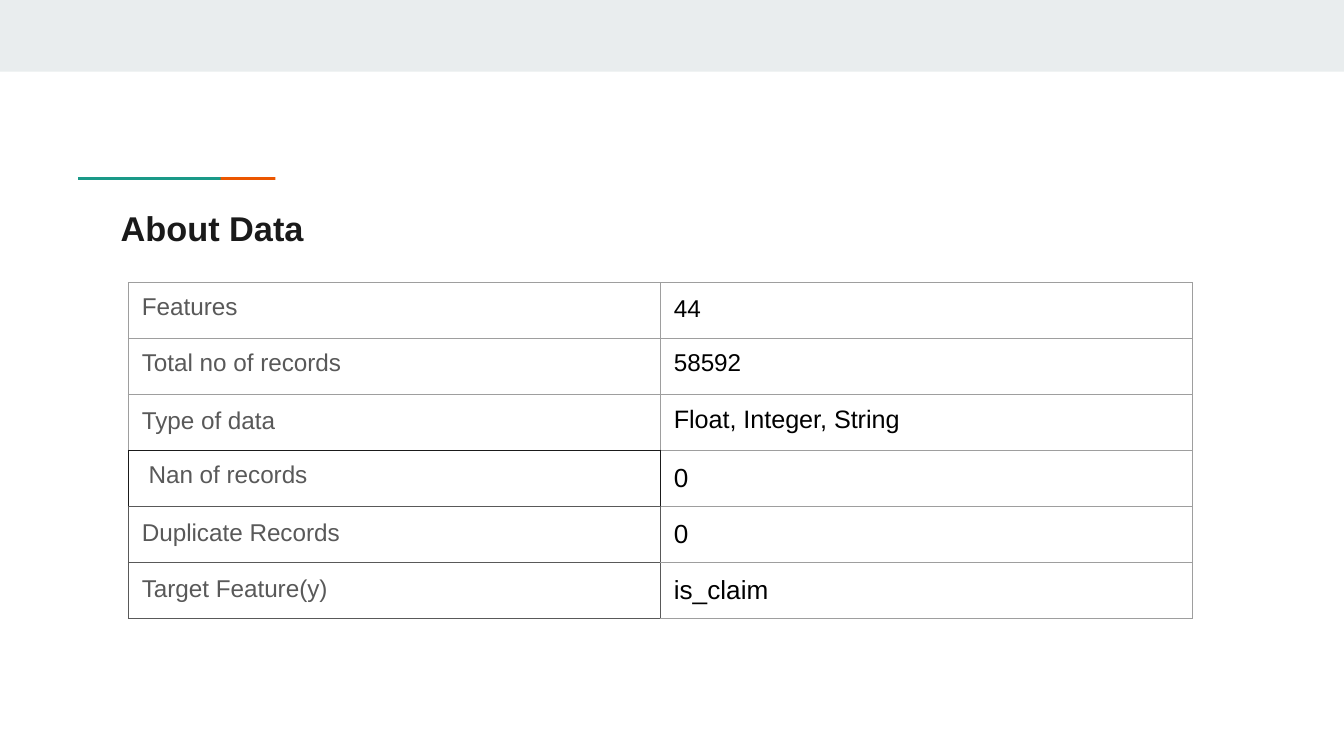
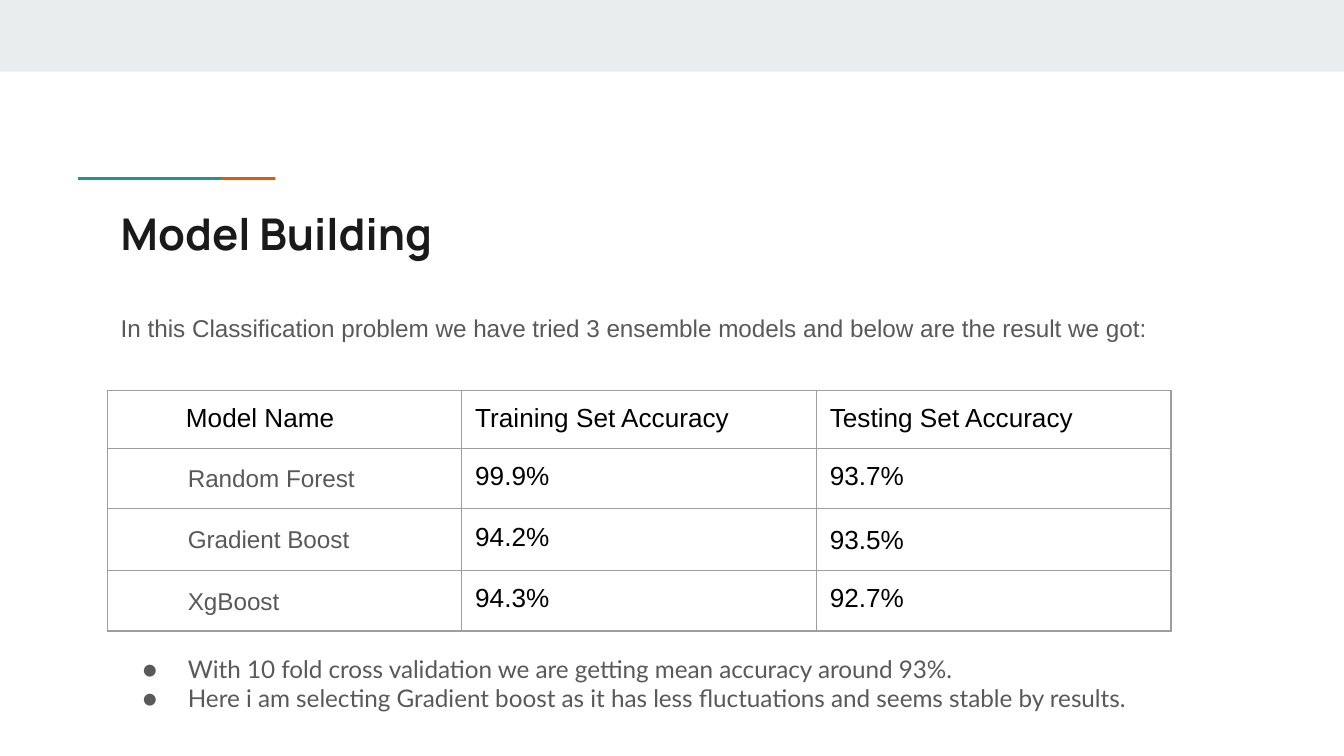
from lxml import etree
from pptx import Presentation
from pptx.dml.color import RGBColor
from pptx.enum import shapes
from pptx.oxml import ns
from pptx.util import Pt

WHITE, BAND, TEAL, ORANGE = "FFFFFF", "E9EDEE", "1A9988", "EB5600"
INK, BODY, BLACK, GREY = "1A1A1A", "595959", "000000", "9E9E9E"
LEFT, PAD = 57.6, 7.2
WIDE, HIGH = 720, 405


def color(code):
    return RGBColor.from_string(code)


def add_bar(slide, x, y, w, h, fill, turn=0):
    bar = slide.shapes.add_shape(shapes.MSO_SHAPE.RECTANGLE, Pt(x), Pt(y), Pt(w), Pt(h))
    bar.rotation = turn
    bar.shadow.inherit = False
    bar.fill.solid()
    bar.fill.fore_color.rgb = color(fill)
    bar.line.fill.background()


def add_dash(slide, mid, fill):
    thick, long = 1.5, 76.4
    add_bar(slide, mid - thick / 2, 95.6 - long / 2, thick, long, fill, 270)


def style(par, size, ink, font="Arial", bold=False, line=None, after=0, indent=0, hang=0):
    if line:
        par.line_spacing = line
    par.space_after = Pt(after)
    props = par._p.get_or_add_pPr()
    props.set("marL", str(Pt(indent)))
    props.set("indent", str(Pt(hang)))
    for run in par.runs:
        run.font.name = font
        run.font.size = Pt(size)
        run.font.bold = bold
        run.font.color.rgb = color(ink)


def add_bullet(par):
    props = par._p.get_or_add_pPr()
    tint = etree.SubElement(props, ns.qn("a:buClr"))
    etree.SubElement(tint, ns.qn("a:srgbClr"), val=BODY)
    etree.SubElement(props, ns.qn("a:buFont"), typeface="Lato")
    etree.SubElement(props, ns.qn("a:buChar"), char="●")


def set_pads(box, foot=PAD):
    box.margin_left = box.margin_right = box.margin_top = Pt(PAD)
    box.margin_bottom = Pt(foot)


def add_text(slide, x, y, w, h, lines, bullet=False, **look):
    frame = slide.shapes.add_textbox(Pt(x), Pt(y), Pt(w), Pt(h)).text_frame
    frame.word_wrap = True
    set_pads(frame)
    frame.text = "\n".join(lines)
    for par in frame.paragraphs:
        if bullet:
            add_bullet(par)
        style(par, **look)


def set_edges(cell, edges):
    props = cell._tc.get_or_add_tcPr()
    for side in "LRTB":
        line = etree.SubElement(props, ns.qn("a:ln" + side), w=str(Pt(0.75)))
        fill = etree.SubElement(line, ns.qn("a:solidFill"))
        etree.SubElement(fill, ns.qn("a:srgbClr"), val=edges.get(side, GREY))


def add_grid(slide, x, y, width, height, rows, edges, foot=PAD):
    count = len(rows[0])
    frame = slide.shapes.add_table(len(rows), count, Pt(x), Pt(y),
                                   Pt(width * count), Pt(height * len(rows)))
    grid = frame.table
    grid.first_row = grid.horz_banding = False
    for col in grid.columns:
        col.width = Pt(width)
    for r, row in enumerate(rows):
        grid.rows[r].height = Pt(height)
        for c, (words, look) in enumerate(row):
            cell = grid.cell(r, c)
            set_pads(cell, foot)
            cell.text = words
            style(cell.text_frame.paragraphs[0], **look)
            set_edges(cell, edges.get((r, c), {}))
            cell.fill.background()


def add_page(deck, title, size, font):
    slide = deck.slides.add_slide(deck.slide_layouts[6])
    slide.background.fill.solid()
    slide.background.fill.fore_color.rgb = color(WHITE)
    add_bar(slide, 0, 0, WIDE, 38.4, BAND)
    add_dash(slide, 109.4, ORANGE)
    add_dash(slide, 80, TEAL)
    add_text(slide, LEFT, 103.7, 605.5, 42.5, [title],
             size=size, font=font, ink=INK, bold=True)
    return slide


def data_page(deck):
    slide = add_page(deck, "About Data", 18.4, "Arial")
    label = dict(size=13, ink=BODY)
    value = dict(size=14, ink=BLACK)
    small = dict(size=13, ink=BLACK)
    tight = dict(line=0.9)
    rows = [
        [("Features", label | tight), ("44", small)],
        [("Total no of records", label | tight), ("58592", small | tight)],
        [("Type of data", label),
         ("Float, Integer, String", dict(size=13.5, ink=BLACK) | tight)],
        [("Nan of records", label | tight | dict(indent=3.6)), ("0", value)],
        [("Duplicate Records", label), ("0", value)],
        [("Target Feature(y)", label), ("is_claim", value)],
    ]
    edges = {
        (2, 0): dict(B=INK),
        (3, 0): dict(L=INK, T=INK, R=INK, B=BODY),
        (3, 1): dict(L=INK),
    }
    for r in (4, 5):
        edges[r, 0] = dict.fromkeys("LRTB", BODY)
        edges[r, 1] = dict(L=BODY)
    add_grid(slide, 68.8, 151.4, 285, 30, rows, edges, foot=5)


def model_page(deck):
    slide = add_page(deck, "Model Building", 23.4, "Manrope")
    add_text(slide, LEFT, 158.4, 660, 30.2,
             ["In this Classification problem we have tried 3 ensemble models "
              "and below are the result we got:"],
             size=13, ink=BODY, line=1.15, after=12)
    value = dict(size=14, ink=BLACK)
    name = dict(size=13, ink=BODY, line=1.15, after=12, indent=36)
    scores = [
        ("Random Forest", "99.9%", "93.7%"),
        ("Gradient Boost", "94.2%", "93.5%"),
        ("XgBoost", "94.3%", "92.7%"),
    ]
    rows = [[("Model Name", value | dict(indent=35)),
             ("Training Set Accuracy", value), ("Testing Set Accuracy", value)]]
    rows += [[(model, name), (train, value), (test, value)]
             for model, train, test in scores]
    rows[2][2] = ("93.5%", value | dict(line=1.11))
    add_grid(slide, 57.4, 209, 190, 30, rows, {})
    add_text(slide, LEFT, 343.4, 570, 46,
             ["With 10 fold cross validation we are getting mean accuracy around 93%.",
              "Here i am selecting Gradient boost as it has less fluctuations "
              "and seems stable by results."],
             bullet=True, size=13, ink=BODY, font="Lato", indent=36, hang=-24.2)


def main():
    deck = Presentation()
    deck.slide_width, deck.slide_height = Pt(WIDE), Pt(HIGH)
    data_page(deck)
    model_page(deck)
    deck.save("out.pptx")


if __name__ == "__main__":
    main()
